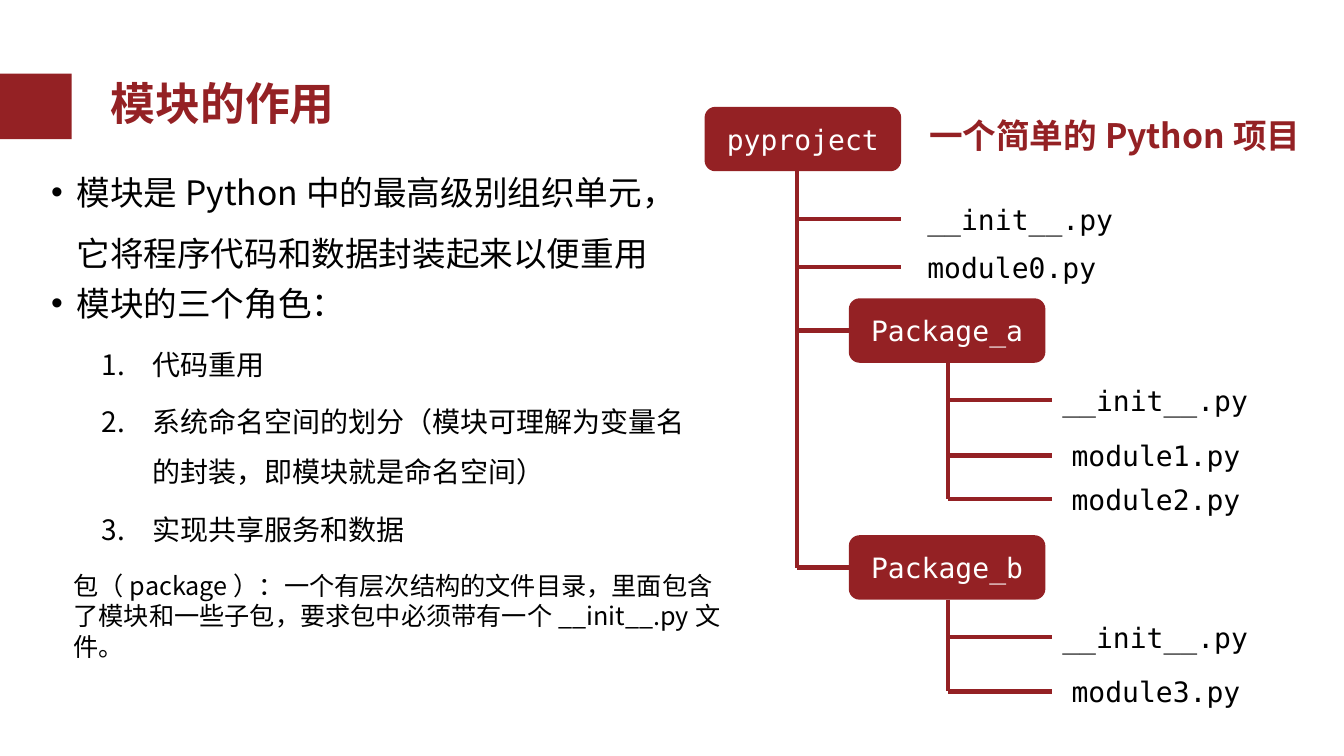
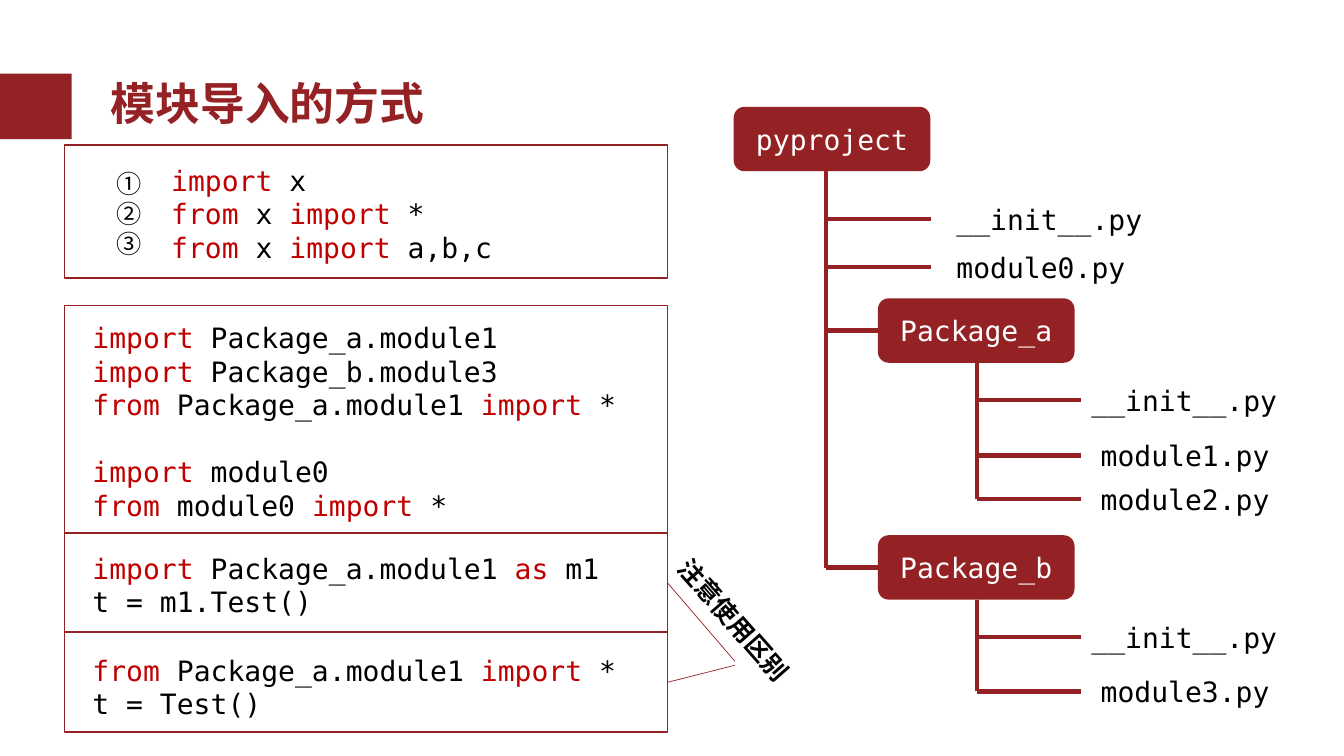
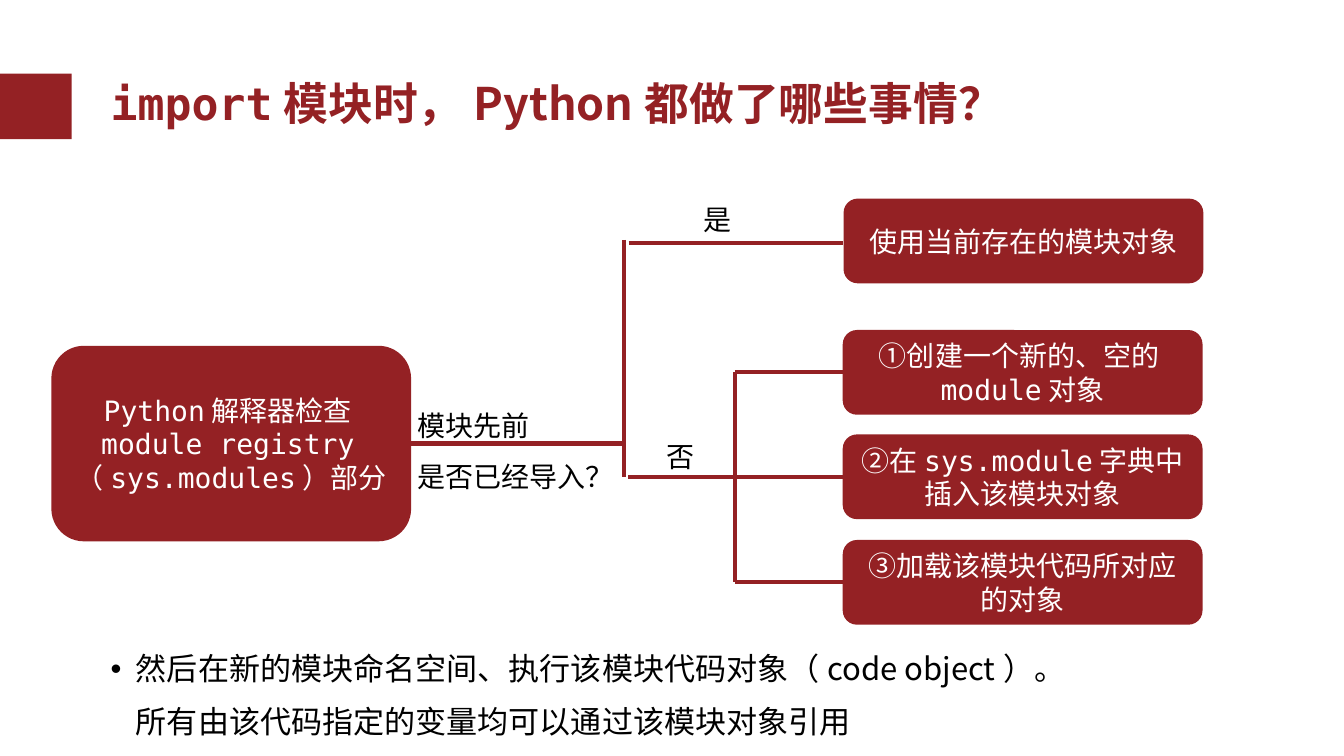
from dataclasses import dataclass
from typing import NamedTuple, Optional

from lxml import etree
from pptx import Presentation
from pptx.dml.color import RGBColor
from pptx.enum.shapes import MSO_CONNECTOR, MSO_SHAPE
from pptx.enum.text import MSO_ANCHOR, PP_ALIGN
from pptx.oxml.ns import qn
from pptx.util import Pt

RECT, ROUND = MSO_SHAPE.RECTANGLE, MSO_SHAPE.ROUNDED_RECTANGLE
STRAIGHT = MSO_CONNECTOR.STRAIGHT
TOP, MIDDLE = MSO_ANCHOR.TOP, MSO_ANCHOR.MIDDLE
LEFT, CENTER = PP_ALIGN.LEFT, PP_ALIGN.CENTER


# Theme
@dataclass(frozen=True)
class Theme:
    red: RGBColor = RGBColor(0x94, 0x21, 0x24)
    keyword: RGBColor = RGBColor(0xC0, 0x00, 0x00)
    black: RGBColor = RGBColor(0, 0, 0)
    white: RGBColor = RGBColor(255, 255, 255)
    sans: str = "Noto Sans CJK SC"
    mono: str = "DejaVu Sans Mono"
    title: float = 32
    body: float = 24
    closing: float = 22.2
    item: float = 20
    note: float = 18
    thick: float = 3
    frame: float = 1
    thin: float = 0.5


T = Theme()
KEYWORDS = {"import", "from", "as"}
CHAR_WIDTH, INSETS = 12.04, 15  # monospaced character at item size; side insets


class Run(NamedTuple):
    text: str
    size: float = T.item
    color: RGBColor = T.black
    font: str = T.sans
    bold: bool = False


class Para(NamedTuple):
    runs: list[Run]
    line: float = 1.0
    before: float = 0
    align: PP_ALIGN = LEFT
    bullet: Optional[str] = None
    margin: float = 0
    hanging: float = 0
    level: int = 0


class Box(NamedTuple):
    x: float
    y: float
    w: float
    h: float


class File(NamedTuple):
    name: str
    y: float
    label_dx: float = 152


class Folder(NamedTuple):
    name: str
    dx: float
    y: float
    trunk_dx: float
    trunk_end: float
    files: list[File]


class CodeBlock(NamedTuple):
    frame: Box
    text_x: float
    text_y: float
    lines: list[str]
    gap_before: Optional[int] = None


class Segment(NamedTuple):
    x1: float
    y1: float
    x2: float
    y2: float


# Text
def set_bullet(p, para: Para) -> None:
    ppr = p._p.get_or_add_pPr()
    ppr.set("marL", str(Pt(para.margin)))
    ppr.set("indent", str(-Pt(para.hanging)))
    if para.bullet == "1.":
        etree.SubElement(ppr, qn("a:buAutoNum"), type="arabicPeriod")
    else:
        etree.SubElement(ppr, qn("a:buFont"), typeface="Arial")
        etree.SubElement(ppr, qn("a:buChar"), char=para.bullet)


def fill_text(tf, paras: list[Para], anchor=TOP, wrap: bool = True) -> None:
    tf.word_wrap = wrap
    tf.vertical_anchor = anchor
    for i, para in enumerate(paras):
        p = tf.add_paragraph() if i else tf.paragraphs[0]
        if para.bullet:
            set_bullet(p, para)
        p.level, p.alignment = para.level, para.align
        p.line_spacing, p.space_before = para.line, Pt(para.before)
        for run in para.runs:
            r = p.add_run()
            r.text = run.text
            r.font.size, r.font.bold = Pt(run.size), run.bold
            r.font.color.rgb, r.font.name = run.color, run.font
            etree.SubElement(r._r.get_or_add_rPr(), qn("a:ea"), typeface=T.sans)


def add_text(s, box: Box, paras: list[Para], anchor=TOP, wrap: bool = True):
    sp = s.shapes.add_textbox(*map(Pt, box))
    fill_text(sp.text_frame, paras, anchor, wrap)
    return sp


def add_code(s, x: float, y: float, lines: list[str], gap_before: Optional[int] = None) -> None:
    paras = []
    for i, line in enumerate(lines):
        words = line.split(" ")
        runs = [Run(word + (" " if k < len(words) else ""), font=T.mono,
                    color=T.keyword if word in KEYWORDS else T.black)
                for k, word in enumerate(words, 1)]
        paras.append(Para(runs, before=24 if i == gap_before else 0))
    w = CHAR_WIDTH * max(map(len, lines)) + INSETS
    add_text(s, Box(x, y, w, 24 * len(lines) + 8), paras, wrap=False)


# Shapes
def add_box(s, kind, box: Box, filled: bool = True):
    sp = s.shapes.add_shape(kind, *map(Pt, box))
    sp.shadow.inherit = False
    if filled:
        sp.fill.solid()
        sp.fill.fore_color.rgb = T.red
        sp.line.fill.background()
    else:
        sp.fill.background()
        sp.line.color.rgb, sp.line.width = T.red, Pt(T.frame)
    return sp


def add_node(s, box: Box, runs: list[tuple[str, str]]) -> None:
    sp = add_box(s, ROUND, box)
    white = [Run(text, color=T.white, font=font) for text, font in runs]
    fill_text(sp.text_frame, [Para(white, align=CENTER)], MIDDLE)


def add_line(s, seg: Segment, width: float = T.thick) -> None:
    cx = s.shapes.add_connector(STRAIGHT, *map(Pt, seg))
    cx.line.color.rgb, cx.line.width = T.red, Pt(width)
    etree.SubElement(cx._element.spPr, qn("a:effectLst"))


def add_titled_slide(prs, title: list[tuple[str, str]]):
    s = prs.slides.add_slide(prs.slide_layouts[6])
    runs = [Run(text, T.title, T.red, font, True) for text, font in title]
    add_text(s, Box(72, 45.4, 828, 61.2), [Para(runs, line=0.9)], MIDDLE)
    add_box(s, RECT, Box(-1.4, 52.6, 52.6, 46.8))
    return s


# Project tree
NODE_W, NODE_H, STUB = 140.4, 46, 74.4
ROOT = Folder("pyproject", 0, 76.3, 66.2, 405.6,
              [File("__init__.py", 156.4), File("module0.py", 190.8)])
PACKAGES = [
    Folder("Package_a", 103, 213.1, 70.6, 356.4,
           [File("__init__.py", 285.8, 145.4), File("module1.py", 325.4),
            File("module2.py", 356.4)]),
    Folder("Package_b", 103, 382.3, 70.6, 493.9,
           [File("__init__.py", 455, 145.4), File("module3.py", 493.9)]),
]


def draw_tree(s, left: float) -> None:
    for folder in [ROOT, *PACKAGES]:
        x = left + folder.dx
        trunk = x + folder.trunk_dx
        add_node(s, Box(x, folder.y, NODE_W, NODE_H), [(folder.name, T.mono)])
        add_line(s, Segment(trunk, folder.y + NODE_H, trunk, folder.trunk_end))
        for file in folder.files:
            add_line(s, Segment(trunk, file.y, trunk + STUB, file.y))
            add_code(s, x + file.label_dx, file.y - 15.6, [file.name])
    for package in PACKAGES:
        y = package.y + NODE_H / 2
        add_line(s, Segment(left + ROOT.trunk_dx, y, left + package.dx, y))


# Slide 1: what modules are for
def roles_slide(prs) -> None:
    s = add_titled_slide(prs, [("模块的作用", T.sans)])
    draw_tree(s, 503.3)
    points = [("模块是Python中的最高级别组织单元，它将程序代码和数据封装起来以便重用", 1.5, 0),
              ("模块的三个角色：", 0.9, 10)]
    roles = ["代码重用",
             "系统命名空间的划分（模块可理解为变量名的封装，即模块就是命名空间）",
             "实现共享服务和数据"]
    paras = [Para([Run(text, T.body)], line, before, bullet="•", margin=18, hanging=18)
             for text, line, before in points]
    paras += [Para([Run(text)], 1.5, 5, bullet="1.", margin=72, hanging=36, level=1)
              for text in roles]
    add_text(s, Box(29.5, 105.1, 474.5, 393), paras)
    add_text(s, Box(656.6, 64.1, 302, 60),
             [Para([Run("一个简单的Python项目", T.body, T.red, bold=True)], 1.5)])
    add_text(s, Box(45.4, 403.9, 480.2, 51), [Para([Run(
        "包（package）：一个有层次结构的文件目录，里面包含了模块和一些子包，"
        "要求包中必须带有一个__init__.py文件。", T.note)])])


# Slide 2: ways to import
CODE_BLOCKS = [
    CodeBlock(Box(46.1, 103.7, 430.6, 95), 115.2, 113,
              ["import x", "from x import *", "from x import a,b,c"]),
    CodeBlock(Box(46.1, 218.2, 430.6, 163), 59, 225.4,
              ["import Package_a.module1", "import Package_b.module3",
               "from Package_a.module1 import *", "import module0",
               "from module0 import *"], 3),
    CodeBlock(Box(46.1, 380.2, 430.6, 71.3), 59, 390.2,
              ["import Package_a.module1 as m1", "t = m1.Test()"]),
    CodeBlock(Box(46.1, 451.5, 430.6, 71.3), 59, 463,
              ["from Package_a.module1 import *", "t = Test()"]),
]


def import_slide(prs) -> None:
    s = add_titled_slide(prs, [("模块导入的方式", T.sans)])
    draw_tree(s, 524.1)
    for block in CODE_BLOCKS:
        add_box(s, RECT, block.frame, filled=False)
        add_code(s, block.text_x, block.text_y, block.lines, block.gap_before)
    add_text(s, Box(76.3, 116.6, 32.4, 72.7),
             [Para([Run(mark, T.note)]) for mark in "①②③"], wrap=False)
    for seg in (Segment(476.7, 416.2, 524.9, 472.3), Segment(476.7, 487.4, 524.9, 475.2)):
        add_line(s, seg, T.thin)
    sp = add_text(s, Box(463, 429.1, 123.8, 28.8),
                  [Para([Run("注意使用区别", T.note, bold=True)])], wrap=False)
    sp.rotation = 48.6


# Slide 3: what happens on import
CHECK_Y, YES_Y, NO_Y = 316.8, 173.5, 340.6
FORK_X, STEP_FORK_X, RESULT_X = 445.7, 524.9, 602
RESULT_W, RESULT_H = 257, 60.5
STEPS = [
    (266, [("①创建一个新的、空的", T.sans), ("module", T.mono), ("对象", T.sans)]),
    (NO_Y, [("②在", T.sans), ("sys.module", T.mono), ("字典中插入该模块对象", T.sans)]),
    (416, [("③加载该模块代码所对应的对象", T.sans)]),
]


def process_slide(prs) -> None:
    s = add_titled_slide(prs, [("import", T.mono),
                               ("模块时，Python都做了哪些事情？", T.sans)])
    # Check and its two outcomes
    add_node(s, Box(36.7, 247, RESULT_W, 139.7),
             [("Python", T.mono), ("解释器检查", T.sans),
              ("module registry（sys.modules）", T.mono), ("部分", T.sans)])
    for seg in (Segment(293.4, CHECK_Y, 447, CHECK_Y),
                Segment(FORK_X, 171.4, FORK_X, NO_Y),
                Segment(449, YES_Y, RESULT_X, YES_Y),
                Segment(448.6, NO_Y, STEP_FORK_X, NO_Y),
                Segment(STEP_FORK_X, STEPS[0][0], STEP_FORK_X, STEPS[-1][0])):
        add_line(s, seg)
    for text, x, y in (("是", 495.4, 141.1), ("否", 468.7, 310.3)):
        add_text(s, Box(x, y, 34.6, 31.7), [Para([Run(text)])], wrap=False)
    add_text(s, Box(290.9, 276.5, 156.2, 80),
             [Para([Run(text)], 1.5) for text in ("模块先前", "是否已经导入？")], wrap=False)
    add_node(s, Box(RESULT_X + 0.6, YES_Y - 31.6, RESULT_W, RESULT_H),
             [("使用当前存在的模块对象", T.sans)])
    # Steps for a new module
    for y, runs in STEPS:
        add_line(s, Segment(STEP_FORK_X, y, RESULT_X, y))
        add_node(s, Box(RESULT_X, y - RESULT_H / 2, RESULT_W, RESULT_H), runs)
    closing = ("然后在新的模块命名空间、执行该模块代码对象（code object）。"
               "所有由该代码指定的变量均可以通过该模块对象引用")
    add_text(s, Box(72, 450, 716.4, 83.5),
             [Para([Run(closing, T.closing)], 1.4, bullet="•", margin=18, hanging=18)])


def main() -> None:
    prs = Presentation()
    prs.slide_width, prs.slide_height = Pt(960), Pt(540)
    roles_slide(prs)
    import_slide(prs)
    process_slide(prs)
    prs.save("out.pptx")


if __name__ == "__main__":
    main()
